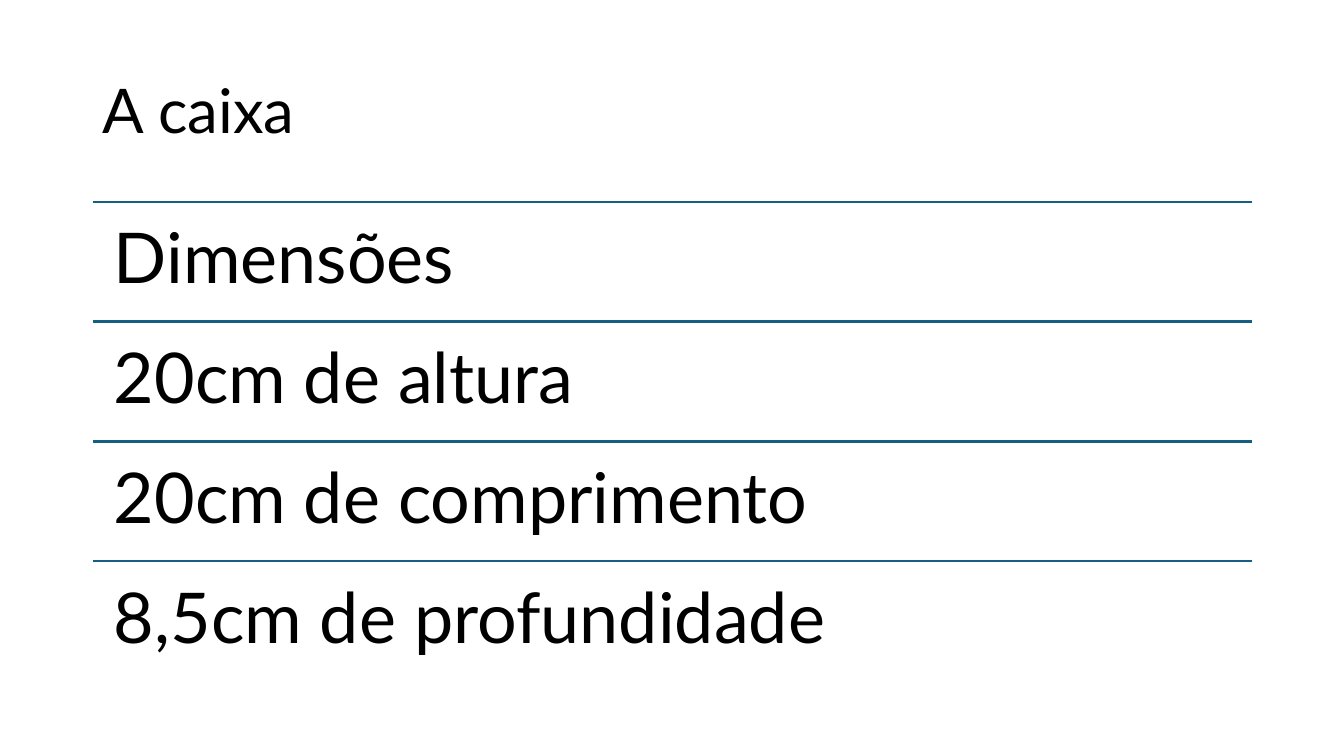
"""Build a slide that lists the dimensions of the box between ruled lines."""
import pptx
import pptx.dml.color
import pptx.enum.shapes
import pptx.enum.text
import pptx.oxml.ns
import pptx.util
from lxml import etree

TITLE = "A caixa"
DIMENSIONS = [
    "Dimensões",
    "20cm de altura",
    "20cm de comprimento",
    "8,5cm de profundidade",
]
COLORS = {"background": "FFFFFF", "text": "000000", "rule": "156082"}
FONT = "Lato"
PAGE_WIDTH, PAGE_HEIGHT = 13.33, 7.5
LEFT, WIDTH = 0.92, 11.5
TITLE_TOP, TITLE_HEIGHT = 0.4, 1.45
LIST_TOP, ROW_HEIGHT = 2, 1.19

Inches = pptx.util.Inches
Anchor = pptx.enum.text.MSO_ANCHOR


def color(name):
    return pptx.dml.color.RGBColor.from_string(COLORS[name])


def write(shape, text, size, anchor, inset_x, inset_y, space_after=0):
    frame = shape.text_frame
    frame.word_wrap = True
    frame.auto_size = pptx.enum.text.MSO_AUTO_SIZE.NONE
    frame.vertical_anchor = anchor
    frame.margin_left = frame.margin_right = Inches(inset_x)
    frame.margin_top = frame.margin_bottom = Inches(inset_y)
    para = frame.paragraphs[0]
    para.alignment = pptx.enum.text.PP_ALIGN.LEFT
    para.line_spacing = 0.9
    para.space_after = pptx.util.Pt(space_after)
    span = para.add_run()
    span.text = text
    span.font.name = FONT
    span.font.size = pptx.util.Pt(size)
    span.font.color.rgb = color("text")


def add_rule(page, top):
    rule = page.shapes.add_connector(
        pptx.enum.shapes.MSO_CONNECTOR.STRAIGHT,
        Inches(LEFT), Inches(top), Inches(LEFT + WIDTH), Inches(top),
    )
    rule.line.color.rgb = color("rule")
    rule.line.width = pptx.util.Pt(1.5)
    properties = rule._element.spPr
    etree.SubElement(properties, pptx.oxml.ns.qn("a:effectLst"))


def main():
    deck = pptx.Presentation()
    deck.slide_width = Inches(PAGE_WIDTH)
    deck.slide_height = Inches(PAGE_HEIGHT)
    page = deck.slides.add_slide(deck.slide_layouts.get_by_name("Title Only"))
    page.background.fill.solid()
    page.background.fill.fore_color.rgb = color("background")

    title = page.shapes.title
    title.left, title.top = Inches(LEFT), Inches(TITLE_TOP)
    title.width, title.height = Inches(WIDTH), Inches(TITLE_HEIGHT)
    write(title, TITLE, size=44, anchor=Anchor.MIDDLE, inset_x=0.1, inset_y=0.05)

    for row, dimension in enumerate(DIMENSIONS):
        top = LIST_TOP + row * ROW_HEIGHT
        add_rule(page, top)
        box = page.shapes.add_textbox(
            Inches(LEFT), Inches(top), Inches(WIDTH), Inches(ROW_HEIGHT)
        )
        write(box, dimension, size=50, anchor=Anchor.TOP,
              inset_x=0.21, inset_y=0.21)

    deck.save("out.pptx")


if __name__ == "__main__":
    main()
